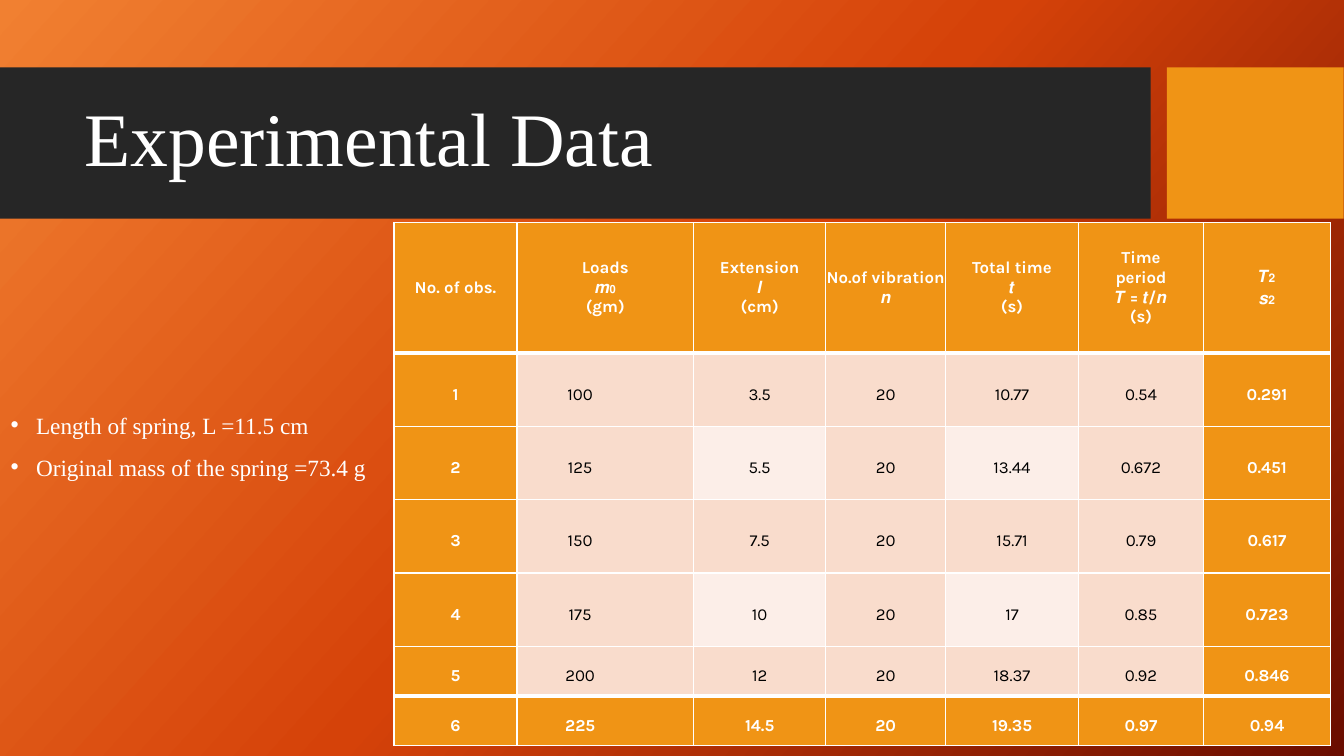
import pptx
import pptx.dml.color
import pptx.enum.shapes
import pptx.enum.text
import pptx.oxml
import pptx.oxml.ns
import pptx.util
from pptx.util import Cm, Pt

TITLE = "Experimental Data"
NOTES = ["Length of spring, L =11.5 cm", "Original mass of the spring =73.4 g"]

# Each header is a list of paragraphs, each paragraph a list of (text, size)
HEADERS = [
    [[("No. of obs.", 12)]],
    [[("Loads", 12)], [("𝒎", 12), ("𝟎", 8)], [("(gm)", 12)]],
    [[("Extension", 12)], [("𝒍", 12)], [("(cm)", 12)]],
    [[("No.of vibration", 12)], [("𝒏", 12)]],
    [[("Total time", 12)], [("𝒕", 12)], [("(s)", 12)]],
    [[("Time period", 12)], [("𝑻 = 𝒕/𝒏", 12)], [("(s)", 12)]],
    [[("𝑻", 12), ("𝟐", 8.5)], [("𝒔", 12), ("𝟐", 8.5)]],
]
OBSERVATIONS = [
    ("1", "100", "3.5", "20", "10.77", "0.54", "0.291"),
    ("2", "125", "5.5", "20", "13.44", "0.672", "0.451"),
    ("3", "150", "7.5", "20", "15.71", "0.79", "0.617"),
    ("4", "175", "10", "20", "17", "0.85", "0.723"),
    ("5", "200", "12", "20", "18.37", "0.92", "0.846"),
    ("6", "225", "14.5", "20", "19.35", "0.97", "0.94"),
]
COL_WIDTHS = [3.1, 4.45, 3.33, 3.02, 3.35, 3.15, 3.2]
ROW_HEIGHTS = [3.28] + [1.85] * 4 + [1.25] * 2
LOADS, TIME_PERIOD = 1, 5
BANDED_COLS = (2, 4)

BACKGROUND = [(0, "F18031"), (50, "D54209"), (100, "6A0D00")]
BACKGROUND_ANGLE = 42
WHITE, BLACK, DARK, ORANGE = "FFFFFF", "000000", "262626", "F09415"
PEACH, PALE = "F9DCCC", "FCEEE8"
SERIF, SANS = "Times New Roman", "Karla"
NS = pptx.oxml.ns.nsdecls("a")


def rgb(value):
    return pptx.dml.color.RGBColor.from_string(value)


def set_font(font, name, size, color, bold=False):
    font.name, font.size, font.bold = name, Pt(size), bold
    font.color.rgb = rgb(color)


def paint_background(s):
    s.background.fill.solid()
    bg_pr = s.background._cSld.bg.bgPr
    stops = "".join(f'<a:gs pos="{pos * 1000}"><a:srgbClr val="{color}"/></a:gs>'
                    for pos, color in BACKGROUND)
    bg_pr.replace(bg_pr[0], pptx.oxml.parse_xml(
        f'<a:gradFill {NS} rotWithShape="1"><a:gsLst>{stops}</a:gsLst>'
        f'<a:lin ang="{BACKGROUND_ANGLE * 60000}" scaled="0"/></a:gradFill>'))


def add_bar(s, left, width, color):
    sp = s.shapes.add_shape(pptx.enum.shapes.MSO_SHAPE.RECTANGLE,
                            Cm(left), Cm(1.7), Cm(width), Cm(3.81))
    sp.shadow.inherit = False
    sp.fill.solid()
    sp.fill.fore_color.rgb = rgb(color)
    sp.line.fill.background()


def add_text(s, box, lines, size, spacing):
    tf = s.shapes.add_textbox(*map(Cm, box)).text_frame
    tf.word_wrap = True
    for i, line in enumerate(lines):
        p = tf.add_paragraph() if i else tf.paragraphs[0]
        p.text = line
        p.line_spacing = spacing
        yield p
        set_font(p.font, SERIF, size, WHITE)
    tf.vertical_anchor = (pptx.enum.text.MSO_ANCHOR.TOP if len(lines) > 1
                          else pptx.enum.text.MSO_ANCHOR.MIDDLE)


def add_bullet(p):
    p_pr = p._p.get_or_add_pPr()
    p_pr.set("marL", str(Cm(1.27)))
    p_pr.set("indent", str(-Cm(0.64)))
    p_pr.append(pptx.oxml.parse_xml(f'<a:buFont {NS} typeface="Arial"/>'))
    p_pr.append(pptx.oxml.parse_xml(f'<a:buChar {NS} char="•"/>'))


def set_borders(cell, top, bottom):
    """Draw white borders; top and bottom widths are in points."""
    tc_pr = cell._tc.get_or_add_tcPr()
    for side, width in zip("LRTB", (1, 1, top, bottom)):
        tc_pr.append(pptx.oxml.parse_xml(
            f'<a:ln{side} {NS} w="{Pt(width)}"><a:solidFill>'
            f'<a:srgbClr val="{WHITE}"/></a:solidFill></a:ln{side}>'))


def fill_cell(cell, paragraphs, color, bold):
    tf = cell.text_frame
    for i, runs in enumerate(paragraphs):
        p = tf.add_paragraph() if i else tf.paragraphs[0]
        p.alignment = pptx.enum.text.PP_ALIGN.CENTER
        for text, size in runs:
            r = p.add_run()
            r.text = text
            set_font(r.font, SANS, size, color, bold)


def add_data_table(s):
    rows = [HEADERS] + [[[[(value, 12)]] for value in row] for row in OBSERVATIONS]
    last_row, last_col = len(rows) - 1, len(COL_WIDTHS) - 1
    table = s.shapes.add_table(len(rows), len(COL_WIDTHS), Cm(9.93), Cm(5.61),
                               Cm(sum(COL_WIDTHS)), Cm(sum(ROW_HEIGHTS))).table
    table.first_row = table.horz_banding = False
    for col, width in zip(table.columns, COL_WIDTHS):
        col.width = Cm(width)
    for row, height in zip(table.rows, ROW_HEIGHTS):
        row.height = Cm(height)

    for i, row in enumerate(rows):
        for j, paragraphs in enumerate(row):
            cell = table.cell(i, j)
            edge = i in (0, last_row) or j in (0, last_col)
            banded = i % 2 == 0 and j in BANDED_COLS
            set_borders(cell, 3 if i in (1, last_row) else 1,
                        3 if i in (0, last_row - 1) else 1)
            cell.fill.solid()
            cell.fill.fore_color.rgb = rgb(ORANGE if edge else PALE if banded else PEACH)
            cell.margin_left = cell.margin_right = cell.margin_top = cell.margin_bottom = 0
            cell.vertical_anchor = pptx.enum.text.MSO_ANCHOR.MIDDLE
            fill_cell(cell, paragraphs, WHITE if edge else BLACK, edge)
            if i:
                cell.text_frame.paragraphs[0].line_spacing = 1.5
                if j == LOADS:
                    cell.margin_right = Cm(1.27)
            elif j == TIME_PERIOD:
                cell.margin_left = cell.margin_right = Cm(0.53)
            elif j == last_col:
                cell.text_frame.paragraphs[1].space_before = Pt(2)


def main():
    prs = pptx.Presentation()
    prs.slide_width, prs.slide_height = Cm(33.87), Cm(19.05)
    s = prs.slides.add_slide(prs.slide_layouts[6])
    paint_background(s)
    add_bar(s, 0, 29, DARK)
    add_bar(s, 29.41, 4.45, ORANGE)
    for p in add_text(s, (1.88, 2.08, 26.7, 3), [TITLE], 54, 0.9):
        p.alignment = pptx.enum.text.PP_ALIGN.LEFT
    for p in add_text(s, (-0.61, 9.88, 10.54, 3.02), NOTES, 16.6, 1.5):
        add_bullet(p)
    add_data_table(s)
    prs.save("out.pptx")


if __name__ == "__main__":
    main()
